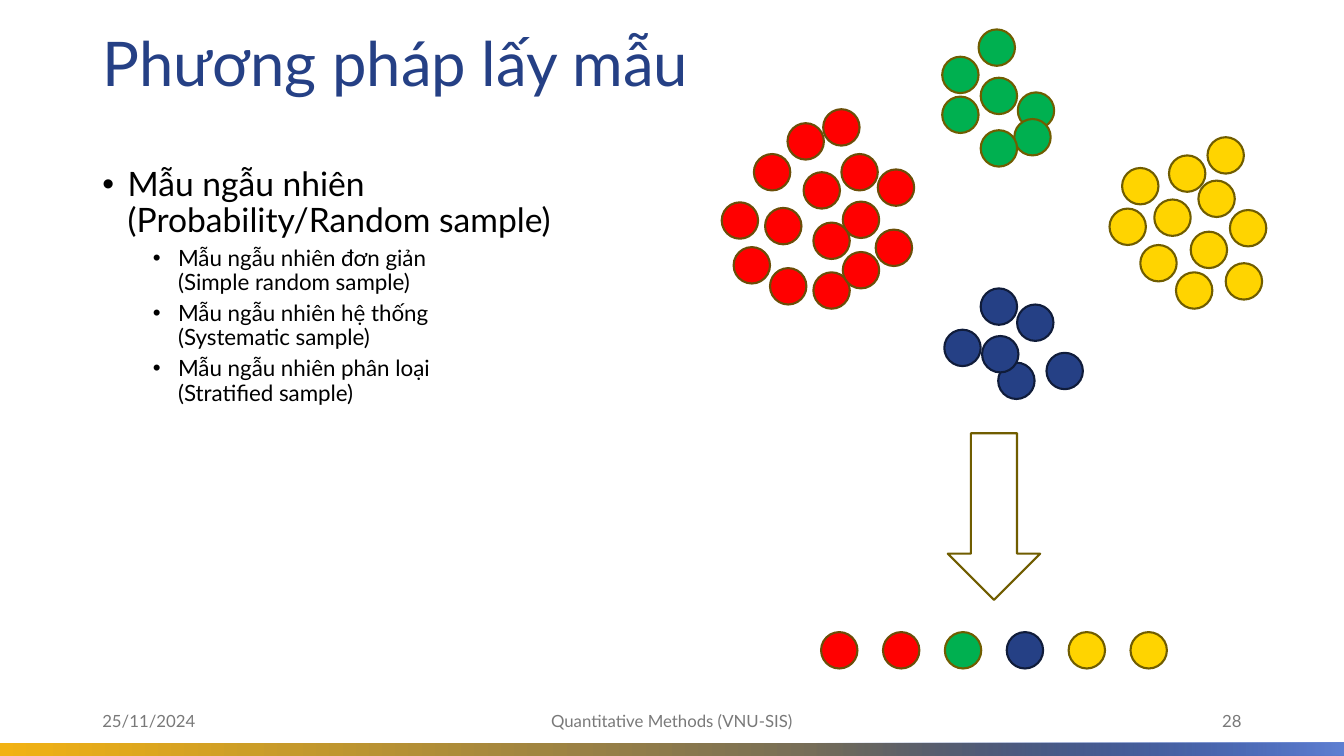
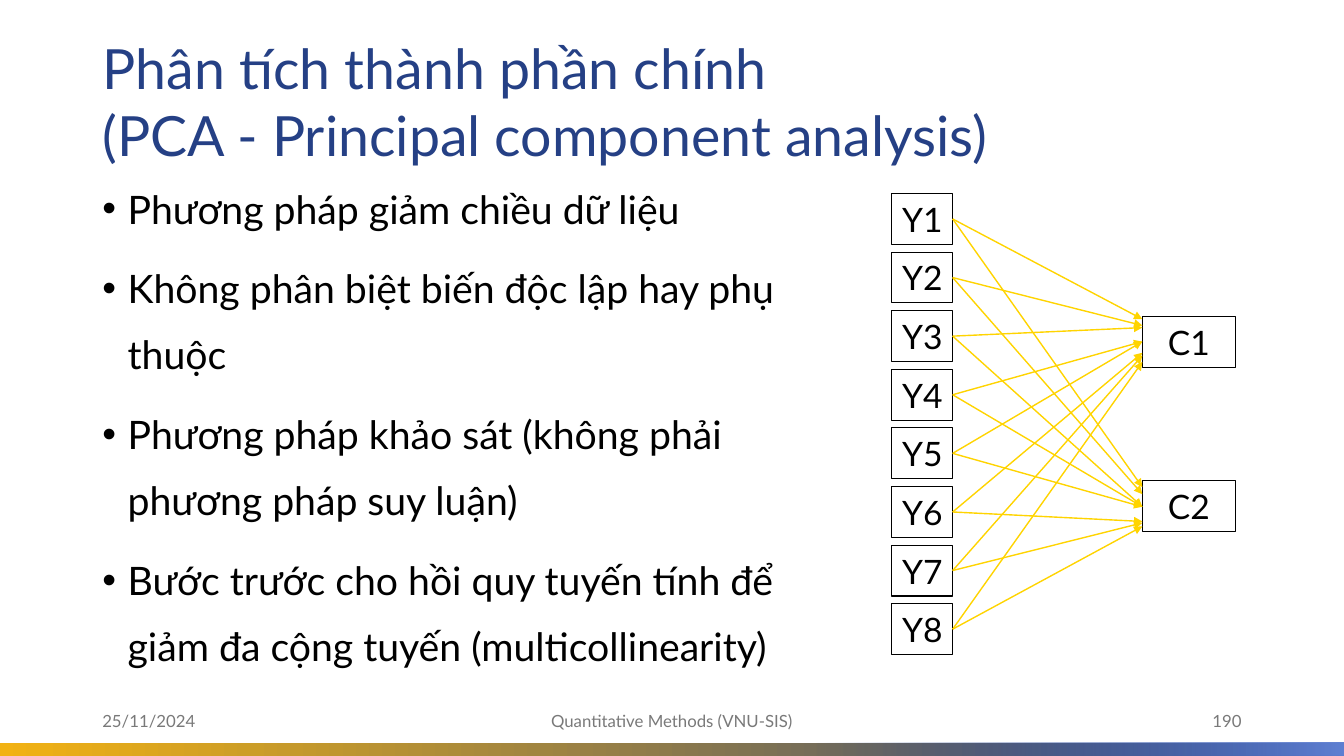
from copy import deepcopy
from dataclasses import dataclass
from typing import Any

from lxml import etree
from pptx import Presentation
from pptx.dml.color import RGBColor
from pptx.enum.shapes import MSO_CONNECTOR, MSO_SHAPE
from pptx.enum.text import MSO_ANCHOR, MSO_AUTO_SIZE, PP_ALIGN
from pptx.oxml.ns import qn
from pptx.util import Pt

RECT, OVAL, DOWN_ARROW = MSO_SHAPE.RECTANGLE, MSO_SHAPE.OVAL, MSO_SHAPE.DOWN_ARROW
STRAIGHT = MSO_CONNECTOR.STRAIGHT
LEFT, CENTER, RIGHT = PP_ALIGN.LEFT, PP_ALIGN.CENTER, PP_ALIGN.RIGHT
TOP, MIDDLE = MSO_ANCHOR.TOP, MSO_ANCHOR.MIDDLE
NO_FIT = MSO_AUTO_SIZE.NONE

NAVY = RGBColor(0x25, 0x40, 0x85)
NAVY_EDGE = RGBColor(0x10, 0x1C, 0x3A)
SKY = RGBColor(0x5F, 0x80, 0xD3)
GOLD = RGBColor(0xF2, 0xB2, 0x13)
YELLOW = RGBColor(0xFF, 0xD4, 0x00)
OLIVE = RGBColor(0x70, 0x5D, 0x00)
RED = RGBColor(0xFF, 0x00, 0x00)
BROWN = RGBColor(0x6A, 0x4E, 0x08)
GREEN = RGBColor(0x00, 0xB0, 0x50)
GREY = RGBColor(0x79, 0x79, 0x79)
BLACK = RGBColor(0, 0, 0)
WHITE = RGBColor(0xFF, 0xFF, 0xFF)

FONT = "Lato"
SLIDE_W, SLIDE_H = 960, 540
MARGIN, CONTENT_W = 66, 828
DOT = 26
Box = tuple[float, float, float, float]
Point = tuple[float, float]


@dataclass(frozen=True)
class Item:
    text: str
    size: float
    level: int = 0
    line_spacing: float = 0.9


@dataclass(frozen=True)
class DotStyle:
    fill: RGBColor
    edge: RGBColor


@dataclass(frozen=True)
class Component:
    name: str
    top: float
    arrow_offsets: tuple[float, ...]


RED_DOT = DotStyle(RED, BROWN)
GREEN_DOT = DotStyle(GREEN, OLIVE)
NAVY_DOT = DotStyle(NAVY, NAVY_EDGE)
YELLOW_DOT = DotStyle(YELLOW, OLIVE)

CLUSTERS: list[tuple[DotStyle, list[Point]]] = [
    (RED_DOT, [
        (550, 191.5), (602, 144), (538.5, 110), (524, 176.5), (581, 194.5),
        (546.5, 148.5), (625.5, 164), (601, 110), (627, 121), (602, 180),
        (574, 123), (562.5, 88), (581, 159), (515.5, 144.5), (588, 78)]),
    (GREEN_DOT, [
        (727, 66), (673, 69), (724.5, 85), (699, 21), (673, 40.5),
        (700.5, 55.5), (700.5, 93)]),
    (NAVY_DOT, [
        (674.5, 235.5), (713, 259), (701.5, 240), (747.5, 252),
        (700.5, 206), (726.5, 217.5)]),
    (YELLOW_DOT, [
        (875.5, 188), (840, 194.5), (856, 129), (814.5, 175), (801.5, 120),
        (862.5, 98), (878.5, 150), (792.5, 149), (824.5, 142.5),
        (850.5, 165.5), (835, 111)]),
]
SAMPLE = [RED_DOT, RED_DOT, GREEN_DOT, NAVY_DOT, YELLOW_DOT, YELLOW_DOT]

COMPONENTS = [
    Component("C1", 226, (2, 6.5, 8, 18, 18, 26, 28, 32.5)),
    Component("C2", 343.5, (4.5, 9.5, 18.5, 18.5, 18.5, 29, 30, 32.5)),
]


def place(shape: Any, box: Box) -> None:
    shape.left, shape.top, shape.width, shape.height = map(Pt, box)


def write(p: Any, text: str, size: float, color: RGBColor, **layout: Any) -> None:
    """Fill a paragraph; a line break in the text takes the run format too."""
    for name, value in layout.items():
        setattr(p, name, value)
    p.text = text.replace("\n", "\v")
    for r in p.runs:
        for name, value in {"name": FONT, "size": Pt(size), "bold": False}.items():
            setattr(r.font, name, value)
        r.font.color.rgb = color
    for br in p._p.findall(qn("a:br")):
        br.append(deepcopy(p.runs[0]._r.rPr))


def set_frame(tf: Any, anchor: Any, wrap: bool = True) -> None:
    for name, value in {"word_wrap": wrap, "auto_size": NO_FIT,
                        "vertical_anchor": anchor}.items():
        setattr(tf, name, value)


def add_shape(shapes: Any, kind: Any, box: Box, fill: RGBColor | None,
              edge: RGBColor | None, width: float = 1.5) -> Any:
    sp = shapes.add_shape(kind, *map(Pt, box))
    sp.shadow.inherit = False
    if fill is None:
        sp.fill.background()
    else:
        sp.fill.solid()
        sp.fill.fore_color.rgb = fill
    if edge is None:
        sp.line.fill.background()
    else:
        sp.line.color.rgb = edge
        sp.line.width = Pt(width)
    return sp


def add_band(s: Any, left: float, start: RGBColor, end: RGBColor,
             fade_from: float | None = None) -> None:
    """Bottom gradient strip; fade_from makes its first stop transparent."""
    sp = add_shape(s.shapes, RECT, (left, 530.5, SLIDE_W - left, 9.5), None, None)
    sp.fill.gradient()
    sp.fill.gradient_angle = 0
    stops = sp.fill.gradient_stops
    for stop, color, position in zip(stops, (start, end), (fade_from or 0, 1)):
        stop.color.rgb = color
        stop.position = position
    if fade_from is not None:
        first = next(sp._element.iter(qn("a:srgbClr")))
        etree.SubElement(first, qn("a:alpha"), val="0")


def add_footer(s: Any, number: int) -> None:
    parts = [
        ("25/11/2024", MARGIN, 216, LEFT),
        ("Quantitative Methods (VNU-SIS)", 318, 324, CENTER),
        (str(number), 678, 216, RIGHT),
    ]
    for text, left, width, align in parts:
        tf = s.shapes.add_textbox(*map(Pt, (left, 500.5, width, 29))).text_frame
        set_frame(tf, MIDDLE)
        write(tf.paragraphs[0], text, 12, GREY, alignment=align)


def add_bullets(body: Any, items: list[Item]) -> None:
    tf = body.text_frame
    set_frame(tf, TOP)
    for i, item in enumerate(items):
        p = tf.add_paragraph() if i else tf.paragraphs[0]
        pPr = p._p.get_or_add_pPr()
        pPr.set("marL", str(Pt(54 if item.level else 18)))
        pPr.set("indent", str(-Pt(18)))
        etree.SubElement(pPr, qn("a:buFont"), typeface="Arial")
        etree.SubElement(pPr, qn("a:buChar"), char="•")
        before = (5 if item.level else 10) if i else 0
        write(p, item.text, item.size, BLACK, level=item.level, alignment=LEFT,
              line_spacing=item.line_spacing, space_before=Pt(before))


def add_slide(prs: Any, number: int, title: str, title_size: float,
              title_box: Box, title_spacing: float, body_box: Box,
              items: list[Item]) -> Any:
    s = prs.slides.add_slide(prs.slide_layouts[1])
    add_band(s, 0, GOLD, NAVY)
    add_band(s, 494, NAVY, SKY, fade_from=0.19)
    heading, body = s.shapes.title, s.placeholders[1]
    place(heading, title_box)
    set_frame(heading.text_frame, MIDDLE)
    write(heading.text_frame.paragraphs[0], title, title_size, NAVY,
          alignment=LEFT, line_spacing=title_spacing)
    place(body, body_box)
    add_bullets(body, items)
    add_footer(s, number)
    return s


def add_dot(shapes: Any, style: DotStyle, at: Point) -> None:
    add_shape(shapes, OVAL, (*at, DOT, DOT), style.fill, style.edge)


def add_variable(s: Any, name: str, box: Box) -> None:
    sp = add_shape(s.shapes, RECT, box, None, BLACK, 0.75)
    set_frame(sp.text_frame, MIDDLE, wrap=False)
    write(sp.text_frame.paragraphs[0], name, 24, BLACK, alignment=CENTER)


def add_arrow(s: Any, start: Point, end: Point) -> None:
    line = s.shapes.add_connector(STRAIGHT, *map(Pt, (*start, *end)))
    line.line.color.rgb = YELLOW
    line.line.width = Pt(1)
    etree.SubElement(line.line._get_or_add_ln(), qn("a:tailEnd"), type="triangle")
    etree.SubElement(line._element.spPr, qn("a:effectLst"))


def build_sampling(prs: Any) -> None:
    s = add_slide(
        prs, 28, "Phương pháp lấy mẫu", 44, (MARGIN, 11, CONTENT_W, 73), 0.9,
        (MARGIN, 116, 356, 370), [
            Item("Mẫu ngẫu nhiên (Probability/Random sample)", 24),
            Item("Mẫu ngẫu nhiên đơn giản\n(Simple random sample)", 16, 1),
            Item("Mẫu ngẫu nhiên hệ thống\n(Systematic sample)", 16, 1),
            Item("Mẫu ngẫu nhiên phân loại\n(Stratified sample)", 16, 1),
        ])
    for style, points in CLUSTERS:
        cluster = s.shapes.add_group_shape()
        for at in points:
            add_dot(cluster.shapes, style, at)
    add_shape(s.shapes, DOWN_ARROW, (677, 309.5, 66, 119), WHITE, OLIVE)
    sample = s.shapes.add_group_shape()
    for i, style in enumerate(SAMPLE):
        add_dot(sample.shapes, style, (586.5 + 44.2 * i, 451.5))


def build_pca(prs: Any) -> None:
    texts = [
        "Phương pháp giảm chiều dữ liệu",
        "Không phân biệt biến độc lập hay phụ thuộc",
        "Phương pháp khảo sát (không phải phương pháp suy luận)",
        "Bước trước cho hồi quy tuyến tính để giảm đa cộng tuyến (multicollinearity)",
    ]
    s = add_slide(
        prs, 190,
        "Phân tích thành phần chính\n(PCA - Principal component analysis)", 39.6,
        (MARGIN, 29, CONTENT_W, 86), 1.0, (MARGIN, 115, 512, 371.5),
        [Item(text, 28, line_spacing=1.4) for text in texts])

    left, width, height = 637, 43.5, 36.4
    tops = [138.2 + 41.86 * i for i in range(8)]
    for i, top in enumerate(tops, 1):
        add_variable(s, f"Y{i}", (left, top, width, height))
    target_x = 816
    for c in COMPONENTS:
        add_variable(s, c.name, (target_x, c.top, 66.5, height))
        for top, offset in zip(tops, c.arrow_offsets):
            add_arrow(s, (left + width, top + height / 2),
                      (target_x, c.top + offset))


def main() -> None:
    prs = Presentation()
    prs.slide_width, prs.slide_height = Pt(SLIDE_W), Pt(SLIDE_H)
    build_sampling(prs)
    build_pca(prs)
    prs.save("out.pptx")


if __name__ == "__main__":
    main()
